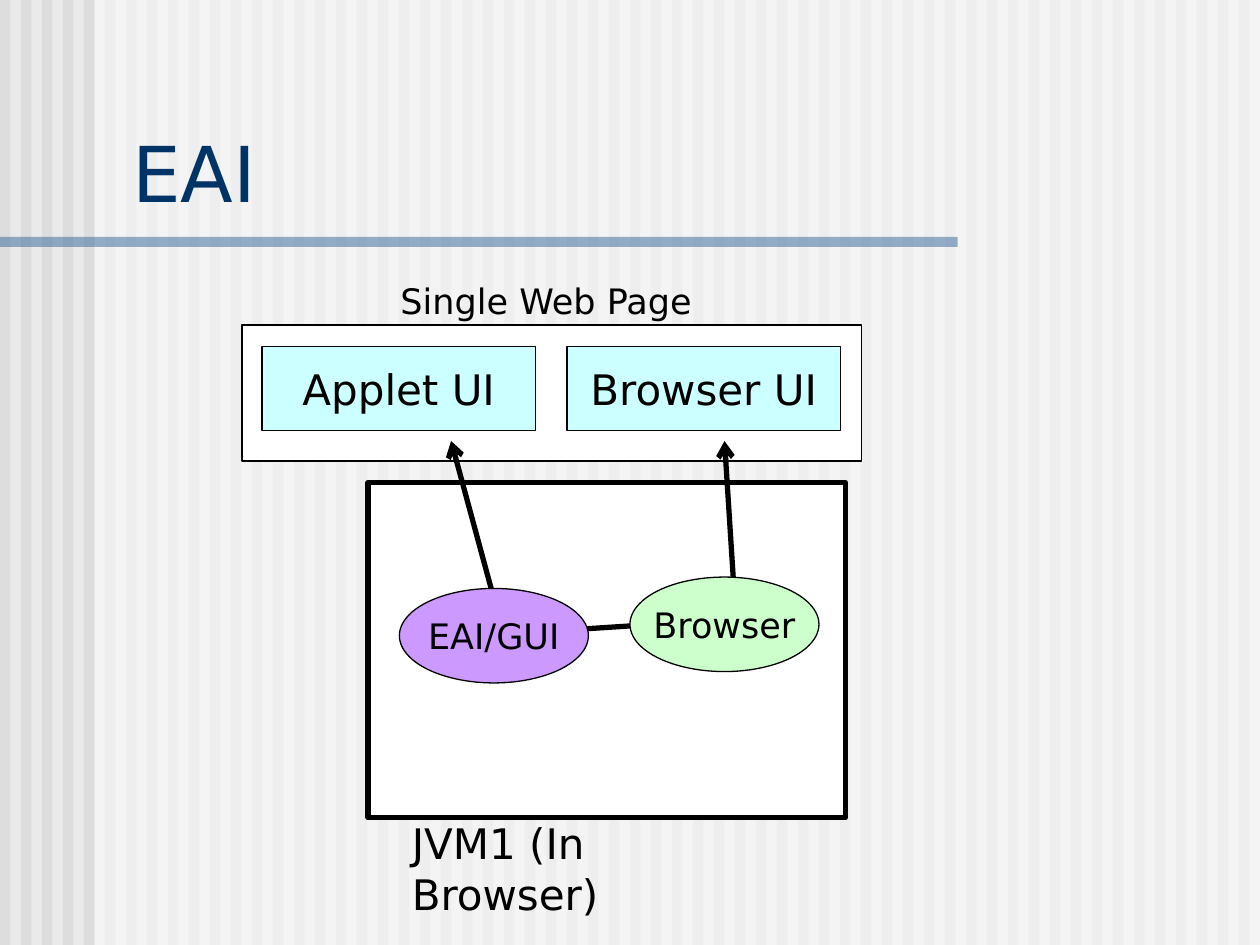
from pptx import Presentation
from pptx.dml.color import RGBColor
from pptx.enum.shapes import MSO_CONNECTOR, MSO_SHAPE
from pptx.enum.text import MSO_ANCHOR, PP_ALIGN
from pptx.oxml.ns import qn
from pptx.oxml.xmlchemy import OxmlElement
from pptx.util import Inches, Pt

RECTANGLE, OVAL = MSO_SHAPE.RECTANGLE, MSO_SHAPE.OVAL
STRAIGHT = MSO_CONNECTOR.STRAIGHT
TOP, MIDDLE, BOTTOM = MSO_ANCHOR.TOP, MSO_ANCHOR.MIDDLE, MSO_ANCHOR.BOTTOM
LEFT, CENTER = PP_ALIGN.LEFT, PP_ALIGN.CENTER

FONT = "DejaVu Sans"
COLORS = {
    "background": "EAEAEA",
    "stripe": "DDDDDD",
    "white": "FFFFFF",
    "rule": "336699",
    "title": "003366",
    "black": "000000",
    "panel": "CCFFFF",
    "browser": "CCFFCC",
    "eai": "CC99FF",
}

STRIPE_COUNT = 60
STRIPE_PITCH = 1 / 6
VEILS = [
    ((0.75, 0, 9.25, 7.5), "white"),
    ((0, 1.88, 7.6, 0.08), "rule"),
]
FRAMES = [
    ((1.92, 2.58, 4.92, 1.08), 0.75),
    ((2.92, 3.83, 3.79, 2.66), 3),
]
LINKS = [
    ((5.75, 4.92), (4.5, 5), False),
    ((5.83, 4.75), (5.75, 3.5), True),
    ((3.92, 4.75), (3.58, 3.5), True),
]
NODES = [
    ("Browser UI", RECTANGLE, (4.5, 2.75, 2.17, 0.67), "panel", 24),
    ("Applet UI", RECTANGLE, (2.08, 2.75, 2.17, 0.67), "panel", 24),
    ("Browser", OVAL, (5, 4.58, 1.5, 0.75), "browser", 20),
    ("EAI/GUI", OVAL, (3.17, 4.67, 1.5, 0.75), "eai", 20),
]
LABELS = [
    ("EAI", (0.95, 0.94, 8.93, 0.84), 44, "title", BOTTOM),
    ("Single Web Page", (3.08, 2.17, 3.08, 0.44), 20, "black", TOP),
    ("JVM1 (In Browser)", (3.17, 6.44, 2.98, 0.9), 24, "black", TOP),
]


def color(name):
    return RGBColor.from_string(COLORS[name])


def add_block(page, kind, place, fill, line_width=None):
    shape = page.shapes.add_shape(kind, *map(Inches, place))
    shape.shadow.inherit = False
    shape.fill.solid()
    shape.fill.fore_color.rgb = color(fill)
    if line_width is None:
        shape.line.fill.background()
    else:
        shape.line.color.rgb = color("black")
        shape.line.width = Pt(line_width)
    return shape


def make_half_transparent(shape):
    tint = next(shape._element.spPr.iter(qn("a:srgbClr")))
    alpha = OxmlElement("a:alpha")
    alpha.set("val", "50000")
    tint.append(alpha)


def write_text(shape, text, size, ink, anchor, align, wrap):
    frame = shape.text_frame
    frame.word_wrap = wrap
    frame.vertical_anchor = anchor
    para = frame.paragraphs[0]
    para.text = text
    para.alignment = align
    para.font.name = FONT
    para.font.size = Pt(size)
    para.font.color.rgb = color(ink)


def add_link(page, start, end, arrow):
    link = page.shapes.add_connector(STRAIGHT, *map(Inches, start + end))
    link.line.color.rgb = color("black")
    link.line.width = Pt(3)
    if arrow:
        head = OxmlElement("a:tailEnd")
        head.set("type", "arrow")
        link.line._get_or_add_ln().append(head)
    link._element.spPr.append(OxmlElement("a:effectLst"))


def main():
    deck = Presentation()
    deck.slide_width, deck.slide_height = Inches(10), Inches(7.5)
    page = deck.slides.add_slide(deck.slide_layouts[6])
    page.background.fill.solid()
    page.background.fill.fore_color.rgb = color("background")

    for index in range(STRIPE_COUNT):
        place = (index * STRIPE_PITCH, 0, STRIPE_PITCH / 2, 7.5)
        add_block(page, RECTANGLE, place, "stripe")
    for place, fill in VEILS:
        make_half_transparent(add_block(page, RECTANGLE, place, fill))
    for place, line_width in FRAMES:
        add_block(page, RECTANGLE, place, "white", line_width)
    for start, end, arrow in LINKS:
        add_link(page, start, end, arrow)
    for text, kind, place, fill, size in NODES:
        node = add_block(page, kind, place, fill, 0.75)
        write_text(node, text, size, "black", MIDDLE, CENTER, False)
    for text, place, size, ink, anchor in LABELS:
        box = page.shapes.add_textbox(*map(Inches, place))
        write_text(box, text, size, ink, anchor, LEFT, True)

    deck.save("out.pptx")


if __name__ == "__main__":
    main()
